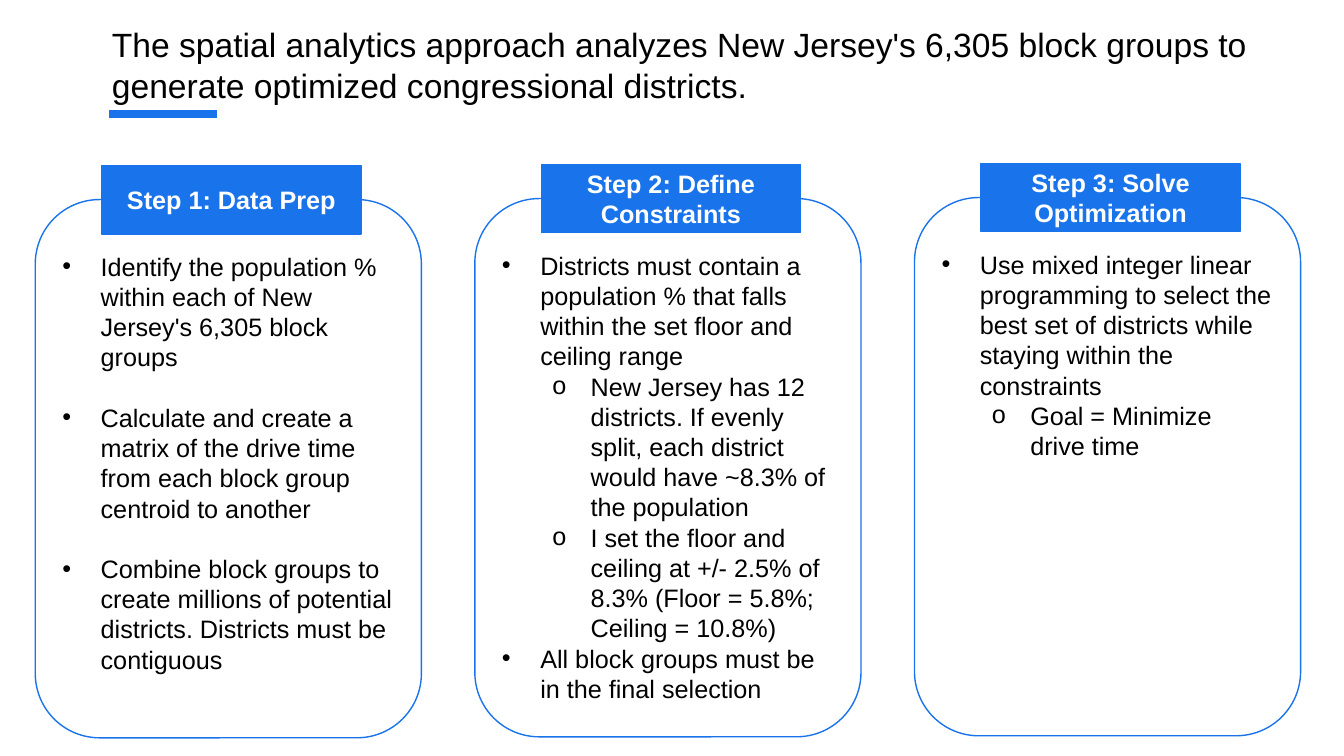
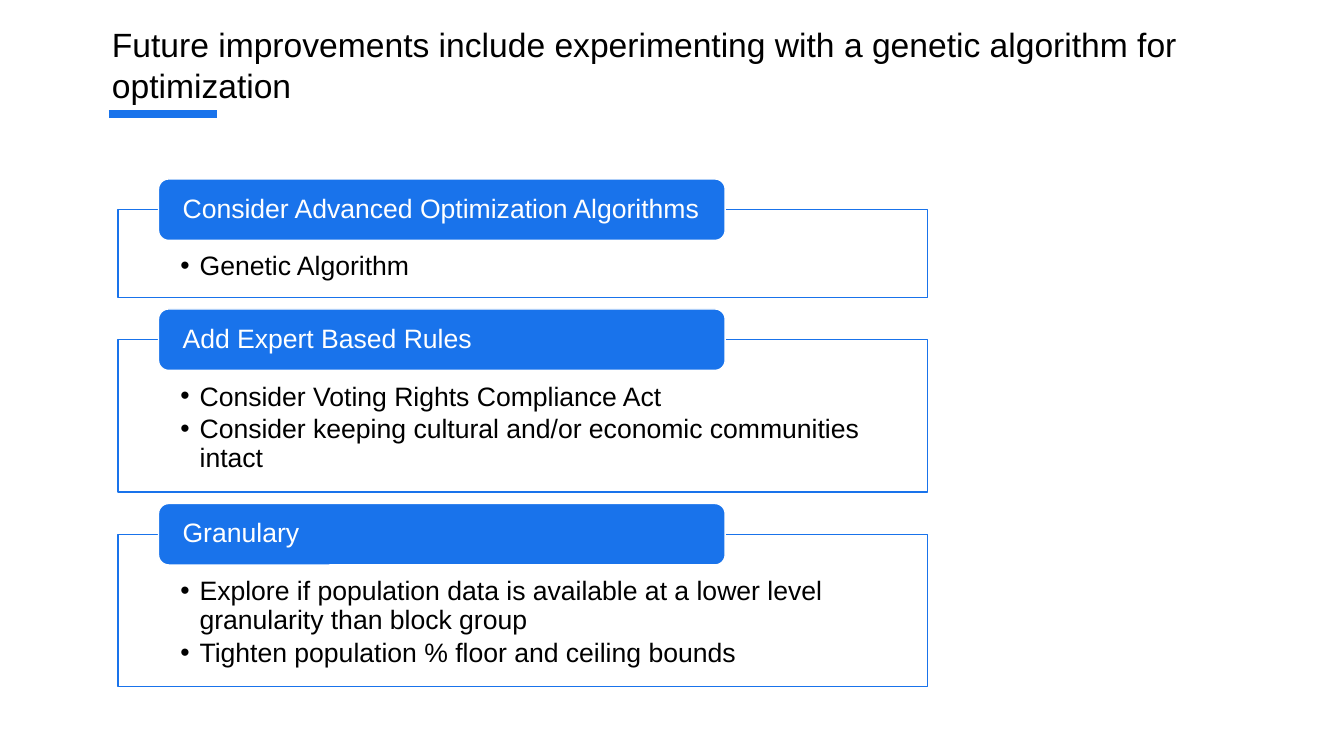
from lxml import etree
from pptx import Presentation
from pptx.dml.color import RGBColor
from pptx.enum.shapes import MSO_CONNECTOR, MSO_SHAPE as SHAPE
from pptx.enum.text import MSO_ANCHOR as ANCHOR, MSO_AUTO_SIZE as FIT, PP_ALIGN as ALIGN
from pptx.oxml.ns import qn
from pptx.util import Inches, Pt

COLORS = {"blue": "1973EB", "white": "FFFFFF", "black": "000000"}
FONT = "Arial"
WIDTH, HEIGHT = 13.33, 7.5
TITLE_ONLY = 5

# Three step columns: left edge, distance between columns, rise per column
COLUMN_LEFT, COLUMN_PITCH, COLUMN_RISE = 0.35, 4.36, 0.01
CARD_TOP, CARD_WIDTH, CARD_HEIGHT = 1.98, 3.83, 5.34
BADGE_WIDTH, BADGE_HEIGHT = 2.57, 0.68

# Stacked topic rows
ROW_LEFT, ROW_TOP, ROW_WIDTH, ROW_GAP = 1.17, 2.08, 8.03, 0.42
TAB_WIDTH, TAB_HEIGHT = ROW_WIDTH * 0.7, 0.61

STEPS = [
    ("Step 1: Data Prep", 21.6, [
        (0, "Identify the population % within each of New Jersey's 6,305 block groups"),
        (0, "Calculate and create a matrix of the drive time from each block group "
            "centroid to another"),
        (0, "Combine block groups to create millions of potential districts. "
            "Districts must be contiguous")]),
    ("Step 2: Define Constraints", 0, [
        (0, "Districts must contain a population % that falls within the set floor "
            "and ceiling range"),
        (1, "New Jersey has 12 districts. If evenly split, each district would have "
            "~8.3% of the population"),
        (1, "I set the floor and ceiling at +/- 2.5% of 8.3% (Floor = 5.8%; "
            "Ceiling = 10.8%)"),
        (0, "All block groups must be in the final selection")]),
    ("Step 3: Solve Optimization", 0, [
        (0, "Use mixed integer linear programming to select the best set of "
            "districts while staying within the constraints"),
        (1, "Goal = Minimize drive time")]),
]

TOPICS = [
    ("Consider Advanced Optimization Algorithms", 0.87, ["Genetic Algorithm"]),
    ("Add Expert Based Rules", 1.51, [
        "Consider Voting Rights Compliance Act",
        "Consider keeping cultural and/or economic communities intact"]),
    ("Granulary", 1.51, [
        "Explore if population data is available at a lower level granularity "
        "than block group",
        "Tighten population % floor and ceiling bounds"]),
]


def rgb(name):
    return RGBColor.from_string(COLORS[name])


def place(left, top, width, height):
    return [Inches(value) for value in (left, top, width, height)]


def style_para(para, size, color, bold=False, align=ALIGN.LEFT):
    para.alignment = align
    for span in para.runs:
        span.font.name = FONT
        span.font.size = Pt(size)
        span.font.bold = bold
        span.font.color.rgb = rgb(color)


def set_margins(frame, left, top, right, bottom):
    frame.margin_left, frame.margin_top = Inches(left), Inches(top)
    frame.margin_right, frame.margin_bottom = Inches(right), Inches(bottom)


def add_bullet(para, mark, left, hanging):
    """Give the paragraph a bullet with a hanging indent."""
    props = para._p.get_or_add_pPr()
    props.set("marL", str(Inches(left)))
    props.set("indent", str(-Inches(hanging)))
    etree.SubElement(props, qn("a:buFont")).set("typeface", FONT)
    etree.SubElement(props, qn("a:buChar")).set("char", mark)


def add_panel(page, kind, area, fill, line):
    panel = page.shapes.add_shape(kind, *place(*area))
    panel.shadow.inherit = False
    panel.fill.solid()
    panel.fill.fore_color.rgb = rgb(fill)
    panel.line.color.rgb = rgb(line)
    panel.line.width = Pt(1)
    panel.text_frame.word_wrap = True
    return panel


def add_titled_page(deck, title):
    """Title-only page with the short accent rule under the title."""
    page = deck.slides.add_slide(deck.slide_layouts[TITLE_ONLY])
    rule = page.shapes.add_connector(
        MSO_CONNECTOR.STRAIGHT, Inches(1.08), Inches(1.13), Inches(2.15), Inches(1.13))
    rule.line.color.rgb = rgb("blue")
    rule.line.width = Pt(6)
    etree.SubElement(rule._element.spPr, qn("a:effectLst"))

    box = page.shapes.title
    box.left, box.top, box.width, box.height = place(1.01, 0.19, 12.06, 0.91)
    frame = box.text_frame
    frame.text = title
    frame.word_wrap = True
    frame.auto_size = FIT.NONE
    frame.vertical_anchor = ANCHOR.TOP
    style_para(frame.paragraphs[0], 24, "black")
    return page


def add_step(page, index, heading, gap, items):
    """Rounded card with a bulleted list and a badge on its top edge."""
    left = COLUMN_LEFT + index * COLUMN_PITCH
    top = CARD_TOP - index * COLUMN_RISE
    add_panel(page, SHAPE.ROUNDED_RECTANGLE, (left, top, CARD_WIDTH, CARD_HEIGHT),
              "white", "blue")

    box = page.shapes.add_textbox(*place(left + 0.17, top + 0.46, 3.48, 4.64))
    frame = box.text_frame
    frame.word_wrap = True
    frame.text = "\n".join(text for _, text in items)
    for para, (level, _) in zip(frame.paragraphs, items):
        para.level = level
        para.space_after = Pt(gap)
        style_para(para, 18, "black")
        add_bullet(para, "•o"[level], 0.38 + level * 0.5, 0.38)

    badge_left = left + (CARD_WIDTH - BADGE_WIDTH) / 2 + 0.03
    badge = add_panel(page, SHAPE.RECTANGLE,
                      (badge_left, top - BADGE_HEIGHT / 2, BADGE_WIDTH, BADGE_HEIGHT),
                      "blue", "blue")
    badge.text_frame.text = heading
    badge.text_frame.vertical_anchor = ANCHOR.MIDDLE
    style_para(badge.text_frame.paragraphs[0], 18, "white", True, ALIGN.CENTER)


def add_topic(page, top, heading, height, items):
    """Framed list with a rounded tab across its top edge."""
    body = add_panel(page, SHAPE.RECTANGLE, (ROW_LEFT, top, ROW_WIDTH, height),
                     "white", "blue")
    tint = body._element.spPr.find(qn("a:solidFill"))[0]
    etree.SubElement(tint, qn("a:alpha")).set("val", "90000")
    frame = body.text_frame
    frame.vertical_anchor = ANCHOR.TOP
    set_margins(frame, 0.62, 0.43, 0.62, 0.15)
    frame.text = "\n".join(items)
    for para in frame.paragraphs:
        para.level = 1
        para.line_spacing = 0.9
        para.space_after = Pt(3)
        style_para(para, 19, "black")
        add_bullet(para, "•", 0.19, 0.19)

    tab = add_panel(page, SHAPE.ROUNDED_RECTANGLE,
                    (ROW_LEFT + ROW_WIDTH * 0.05, top - TAB_HEIGHT / 2,
                     TAB_WIDTH, TAB_HEIGHT), "blue", "white")
    frame = tab.text_frame
    frame.vertical_anchor = ANCHOR.MIDDLE
    set_margins(frame, 0.21, 0, 0.21, 0)
    frame.text = heading
    frame.paragraphs[0].line_spacing = 0.9
    style_para(frame.paragraphs[0], 19, "white")


def main():
    deck = Presentation()
    deck.slide_width, deck.slide_height = Inches(WIDTH), Inches(HEIGHT)

    # Approach in three steps
    page = add_titled_page(
        deck, "The spatial analytics approach analyzes New Jersey's 6,305 block groups "
              "to generate optimized congressional districts.")
    for index, step in enumerate(STEPS):
        add_step(page, index, *step)

    # Future improvements
    page = add_titled_page(
        deck, "Future improvements include experimenting with a genetic algorithm "
              "for optimization")
    top = ROW_TOP
    for heading, height, items in TOPICS:
        add_topic(page, top, heading, height, items)
        top += height + ROW_GAP

    deck.save("out.pptx")


if __name__ == "__main__":
    main()
